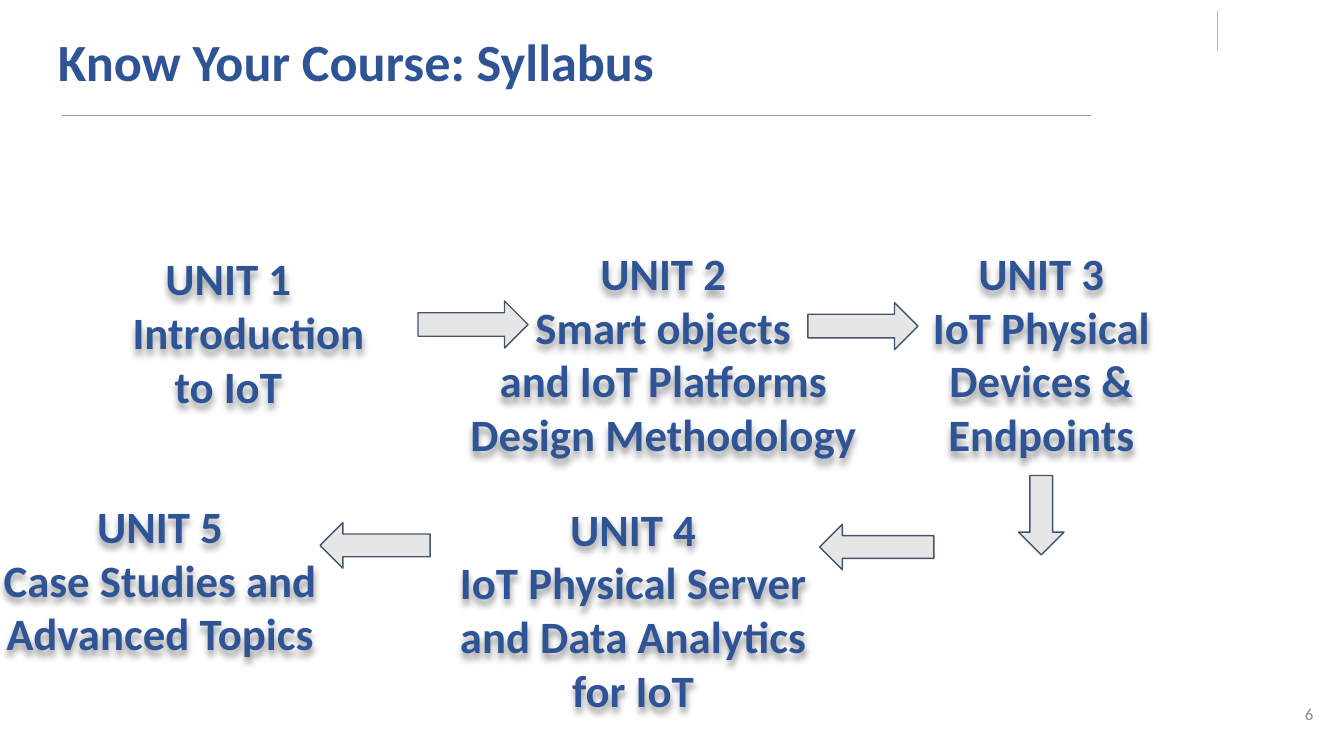
"""Build the course syllabus slide: five units joined by block arrows."""
from lxml import etree
from pptx import Presentation
from pptx.dml.color import RGBColor
from pptx.enum.shapes import MSO_CONNECTOR, MSO_SHAPE
from pptx.enum.text import MSO_ANCHOR, PP_ALIGN
from pptx.oxml.ns import qn
from pptx.util import Cm, Pt

LEFT, CENTER, RIGHT = PP_ALIGN.LEFT, PP_ALIGN.CENTER, PP_ALIGN.RIGHT
TOP, MIDDLE = MSO_ANCHOR.TOP, MSO_ANCHOR.MIDDLE
ARROW_RIGHT = MSO_SHAPE.RIGHT_ARROW
ARROW_LEFT = MSO_SHAPE.LEFT_ARROW
ARROW_DOWN = MSO_SHAPE.DOWN_ARROW
STRAIGHT = MSO_CONNECTOR.STRAIGHT

BLUE = RGBColor(0x2F, 0x54, 0x96)
GREY = RGBColor(0x8C, 0x8C, 0x8C)
RULE = RGBColor(0x99, 0x99, 0x99)
TICK = RGBColor(0xB7, 0xB7, 0xB7)
ARROW_FILL = RGBColor(0xE7, 0xE6, 0xE6)
ARROW_LINE = RGBColor(0x44, 0x54, 0x6A)

TITLE = "Know Your Course: Syllabus"
TITLE_BOX = (0.84, 0.41, 21.89, 1.63)
PAGE = "6"
PAGE_BOX = (23.55, 12.95, 1.52, 1.09)
UNITS = [
    (["UNIT 1", "Introduction to IoT"], (1.09, 4.62, 6.45, 3.35), 0.76),
    (["UNIT 2", "Smart objects", "and IoT Platforms Design Methodology"],
     (8.56, 4.52, 7.95, 4.32), 0),
    (["UNIT 3", "IoT Physical Devices & Endpoints"], (16.48, 4.52, 6.4, 2.64), 0),
    (["UNIT 4", "IoT Physical Server and Data Analytics for IoT"],
     (8.08, 9.35, 7.77, 2.74), 0),
    (["UNIT 5", "Case Studies and Advanced Topics"], (-0.2, 9.3, 6.45, 2.41), 0),
]
ARROWS = [
    (ARROW_RIGHT, (7.9, 5.69, 2.08, 0.89)),
    (ARROW_RIGHT, (15.27, 5.72, 2.08, 0.89)),
    (ARROW_DOWN, (19.25, 8.99, 0.86, 1.5)),
    (ARROW_LEFT, (15.49, 9.91, 2.16, 0.86)),
    (ARROW_LEFT, (6.05, 9.88, 2.08, 0.86)),
]
LINES = [
    ((23.01, 0.2, 23.01, 0.97), TICK),
    ((1.17, 2.18, 20.62, 2.18), RULE),
]
TITLE_FONT = {"name": "Calibri", "size": Pt(28), "bold": True}
UNIT_FONT = {"name": "Calibri", "size": Pt(24), "bold": True}
PAGE_FONT = {"name": "Calibri", "size": Pt(9), "bold": False}


def lengths(values):
    return [Cm(v) for v in values]


def write(shape, lines, font, color, align, anchor):
    tf = shape.text_frame
    tf.word_wrap = True
    tf.vertical_anchor = anchor
    for i, text in enumerate(lines):
        p = tf.add_paragraph() if i else tf.paragraphs[0]
        p.alignment = align
        r = p.add_run()
        r.text = text
        for key, value in font.items():
            setattr(r.font, key, value)
        r.font.color.rgb = color
    return tf


def add_glow_shadow(shape):
    effects = etree.SubElement(shape._element.spPr, qn("a:effectLst"))
    shadow = etree.SubElement(effects, qn("a:outerShdw"), blurRad="50800",
                              dist="38100", dir="5400000", algn="t", rotWithShape="0")
    color = etree.SubElement(shadow, qn("a:prstClr"), val="black")
    etree.SubElement(color, qn("a:alpha"), val="40000")


def main():
    prs = Presentation()
    prs.slide_width, prs.slide_height = Cm(25.4), Cm(14.29)
    s = prs.slides.add_slide(prs.slide_layouts[5])

    for ends, color in LINES:
        line = s.shapes.add_connector(STRAIGHT, *lengths(ends))
        line.line.color.rgb = color
        line.line.width = Pt(0.75)
        etree.SubElement(line._element.spPr, qn("a:effectLst"))

    title = s.shapes.title
    title.left, title.top, title.width, title.height = lengths(TITLE_BOX)
    tf = write(title, [TITLE], TITLE_FONT, BLUE, LEFT, MIDDLE)
    tf.paragraphs[0].line_spacing = 0.9

    page = s.shapes.add_textbox(*lengths(PAGE_BOX))
    write(page, [PAGE], PAGE_FONT, GREY, RIGHT, MIDDLE)

    for lines, box, indent in UNITS:
        unit = s.shapes.add_textbox(*lengths(box))
        tf = write(unit, lines, UNIT_FONT, BLUE, CENTER, TOP)
        if indent:
            tf.paragraphs[1]._p.get_or_add_pPr().set("indent", str(Cm(indent)))
        add_glow_shadow(unit)

    for kind, box in ARROWS:
        arrow = s.shapes.add_shape(kind, *lengths(box))
        arrow.shadow.inherit = False
        arrow.fill.solid()
        arrow.fill.fore_color.rgb = ARROW_FILL
        arrow.line.color.rgb = ARROW_LINE
        arrow.line.width = Pt(0.75)

    prs.save("out.pptx")


if __name__ == "__main__":
    main()
